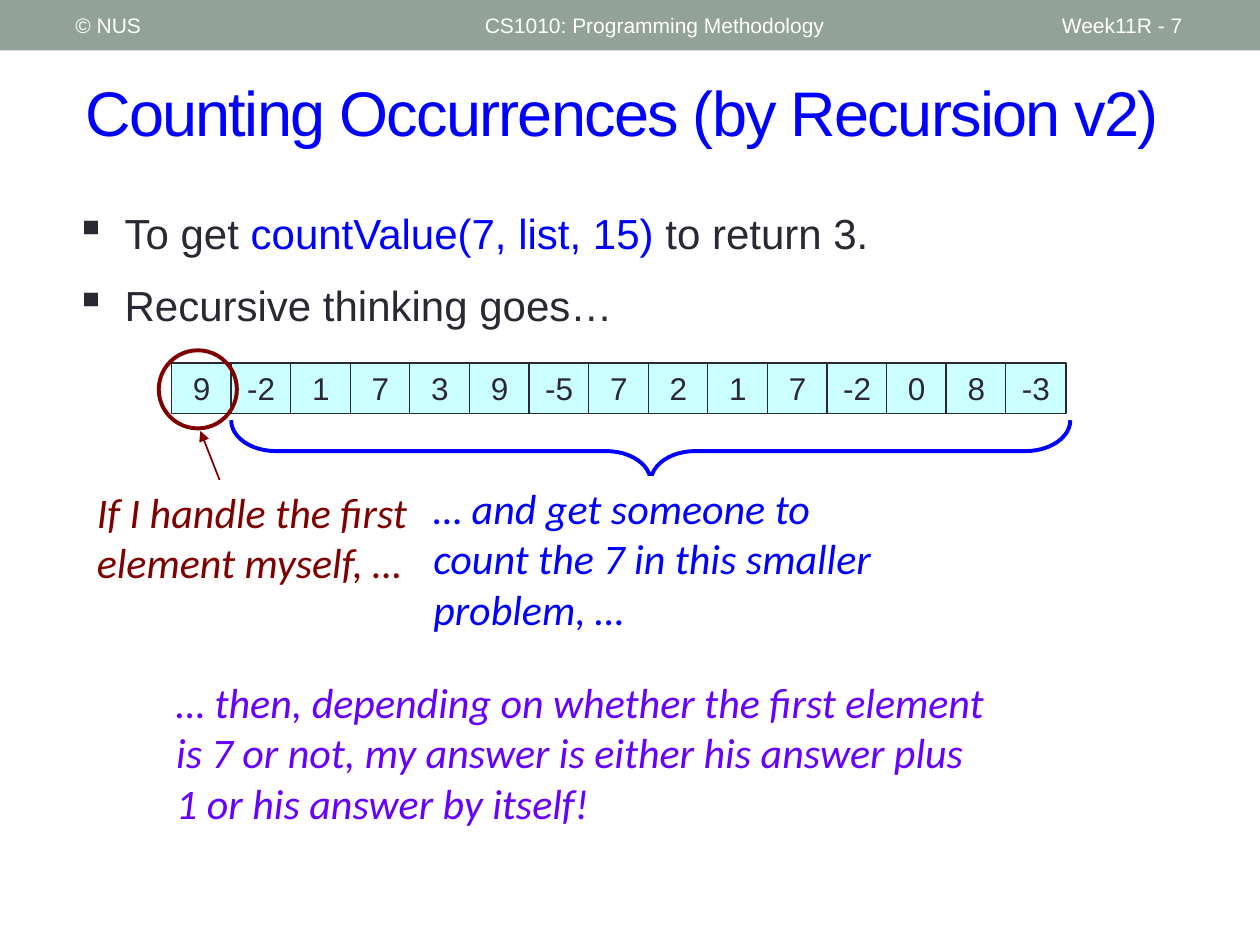
from dataclasses import dataclass
from typing import NamedTuple

from lxml import etree
from pptx import Presentation, util as u
from pptx.dml.color import RGBColor
from pptx.enum import shapes, text
from pptx.oxml.ns import qn


@dataclass(frozen=True)
class Theme:
    bar: str = "93A299"
    ink: str = "292934"
    blue: str = "0000FF"
    maroon: str = "800000"
    violet: str = "6600FF"
    cell: str = "CCFFFF"
    white: str = "FFFFFF"
    sans: str = "Arial"
    hand: str = "Calibri"
    title_size: int = 36
    body_size: int = 24
    cell_size: int = 18
    header_size: int = 12


class Area(NamedTuple):
    """A rectangle in percent of the slide's width and height."""
    left: float
    top: float
    width: float
    height: float


class Note(NamedTuple):
    area: Area
    words: str
    color: str


class Header(NamedTuple):
    left: float
    width: float
    words: str


THEME = Theme()
WIDTH, HEIGHT = u.Inches(10), u.Inches(7.5)
VALUES = (9, -2, 1, 7, 3, 9, -5, 7, 2, 1, 7, -2, 0, 8, -3)
ROW = Area(13.6, 38.4, 4.8, 5.33)
PITCH = 4.73

HEADERS = (
    Header(37.5, 45, "CS1010: Programming Methodology"),
    Header(83.3, 11.7, "Week11R - 7"),
    Header(5, 31.7, "© NUS"),
)
FIRST = Note(Area(6.7, 50.8, 27.9, 12.13),
             "If I handle the first element myself, …", THEME.maroon)
REST = Note(Area(33.4, 50.4, 39.2, 17.47),
            "… and get someone to count the 7 in this smaller problem, …", THEME.blue)
ANSWER = Note(Area(13, 70.93, 66.4, 17.47),
              "… then, depending on whether the first element is 7 or not, my answer "
              "is either his answer plus 1 or his answer by itself!", THEME.violet)
BULLETS = (
    (("To get ", THEME.ink), ("countValue(7, list, 15)", THEME.blue),
     (" to return 3.", THEME.ink)),
    (("Recursive thinking goes…", THEME.ink),),
)


def across(share: float) -> int:
    return round(WIDTH * share / 100)


def down(share: float) -> int:
    return round(HEIGHT * share / 100)


def lengths(area: Area) -> tuple[int, int, int, int]:
    return across(area.left), down(area.top), across(area.width), down(area.height)


def style_font(font, size: int, color: str, name: str = THEME.sans,
               italic: bool | None = None) -> None:
    font.size, font.name, font.italic = u.Pt(size), name, italic
    font.color.rgb = RGBColor.from_string(color)


def add_shape(slide, kind, area: Area, fill: str | None = None,
              line: str | None = None, weight: float = 0.75):
    shape = slide.shapes.add_shape(kind, *lengths(area))
    shape.shadow.inherit = False
    if fill:
        shape.fill.solid()
        shape.fill.fore_color.rgb = RGBColor.from_string(fill)
    else:
        shape.fill.background()
    if line:
        shape.line.color.rgb = RGBColor.from_string(line)
        shape.line.width = u.Pt(weight)
    else:
        shape.line.fill.background()
    return shape


def add_textbox(slide, area: Area, anchor=text.MSO_ANCHOR.TOP):
    frame = slide.shapes.add_textbox(*lengths(area)).text_frame
    frame.word_wrap = True
    frame.vertical_anchor = anchor
    return frame


def add_header(slide, header: Header) -> None:
    area = Area(header.left, 0.27, header.width, 4.8)
    paragraph = add_textbox(slide, area, text.MSO_ANCHOR.MIDDLE).paragraphs[0]
    paragraph.text = header.words
    style_font(paragraph.font, THEME.header_size, THEME.white)


def add_title(slide) -> None:
    area = Area(5.8, 5.6, 91.7, 12.27)
    paragraph = add_textbox(slide, area, text.MSO_ANCHOR.MIDDLE).paragraphs[0]
    run = paragraph.add_run()
    run.text = "Counting Occurrences (by Recursion v2)"
    style_font(run.font, THEME.title_size, THEME.blue)
    run.font._element.set("spc", "-100")


def add_bullets(slide) -> None:
    frame = add_textbox(slide, Area(5, 21.33, 78.5, 14.4))
    for index, parts in enumerate(BULLETS):
        paragraph = frame.add_paragraph() if index else frame.paragraphs[0]
        properties = paragraph._p.get_or_add_pPr()
        indent = u.Inches(0.39)
        properties.set("marL", str(indent))
        properties.set("indent", str(-indent))
        etree.SubElement(properties, qn("a:buChar"), char="▪")
        if index:
            paragraph.space_before = u.Pt(12)
        for words, color in parts:
            run = paragraph.add_run()
            run.text = words
            style_font(run.font, THEME.body_size, color)


def add_cell(slide, index: int, value: int) -> None:
    area = ROW._replace(left=ROW.left + index * PITCH)
    shape = add_shape(slide, shapes.MSO_SHAPE.RECTANGLE, area, THEME.cell, THEME.ink)
    paragraph = shape.text_frame.paragraphs[0]
    paragraph.text = str(value)
    paragraph.alignment = text.PP_ALIGN.CENTER
    style_font(paragraph.font, THEME.cell_size, THEME.ink)


def add_note(slide, note: Note) -> None:
    shape = add_shape(slide, shapes.MSO_SHAPE.RECTANGLE, note.area, THEME.white)
    frame = shape.text_frame
    frame.word_wrap = True
    frame.vertical_anchor = text.MSO_ANCHOR.TOP
    paragraph = frame.paragraphs[0]
    paragraph.text = note.words
    paragraph.alignment = text.PP_ALIGN.LEFT
    style_font(paragraph.font, THEME.body_size, note.color, THEME.hand, True)


def add_arrow(slide) -> None:
    arrow = slide.shapes.add_connector(
        shapes.MSO_CONNECTOR.STRAIGHT,
        across(17.9), down(52.4), across(15.9), down(45.6))
    arrow.line.color.rgb = RGBColor.from_string(THEME.maroon)
    arrow.line.width = u.Pt(1)
    etree.SubElement(arrow.line._get_or_add_ln(), qn("a:tailEnd"), type="triangle")
    etree.SubElement(arrow._element.spPr, qn("a:effectLst"))


def main() -> None:
    presentation = Presentation()
    presentation.slide_width, presentation.slide_height = WIDTH, HEIGHT
    slide = presentation.slides.add_slide(presentation.slide_layouts[6])

    # Header bar, title and bullets
    add_shape(slide, shapes.MSO_SHAPE.RECTANGLE, Area(0, 0, 100, 5.33), THEME.bar)
    add_title(slide)
    add_bullets(slide)

    # List of values
    for index, value in enumerate(VALUES):
        add_cell(slide, index, value)

    # First element: arrow, note and ring
    add_arrow(slide)
    add_note(slide, FIRST)
    add_shape(slide, shapes.MSO_SHAPE.OVAL, Area(12.6, 37.07, 6.2, 8.27),
              line=THEME.maroon, weight=2.25)

    # Remaining elements: brace turned to open upwards, and note
    brace = add_shape(slide, shapes.MSO_SHAPE.LEFT_BRACE, Area(49.2, 3.33, 4.9, 88.8),
                      line=THEME.blue, weight=2.25)
    brace.rotation = 270
    brace.adjustments[0] = 0.72
    add_note(slide, REST)

    # Conclusion and header texts
    add_note(slide, ANSWER)
    for header in HEADERS:
        add_header(slide, header)

    presentation.save("out.pptx")


if __name__ == "__main__":
    main()
